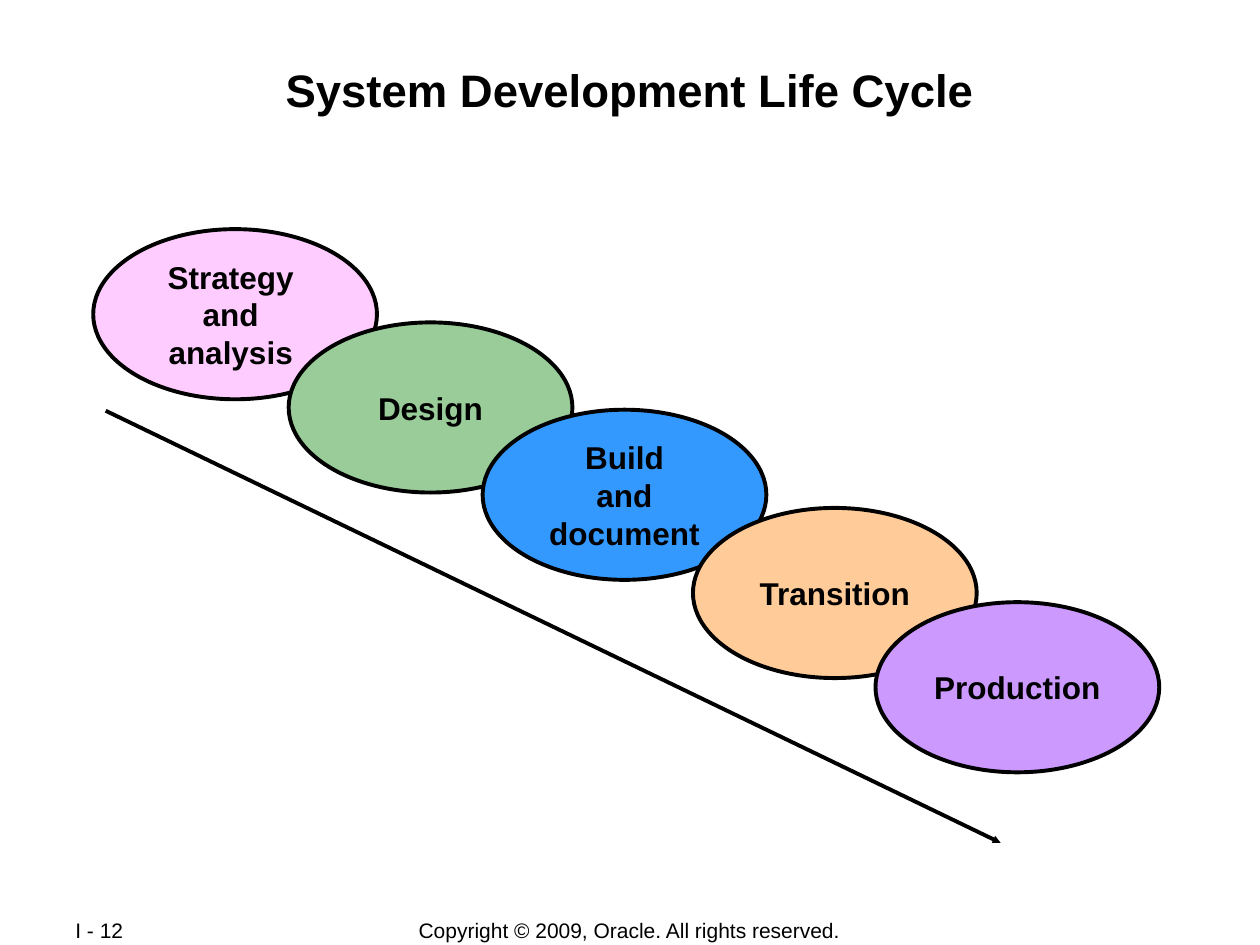
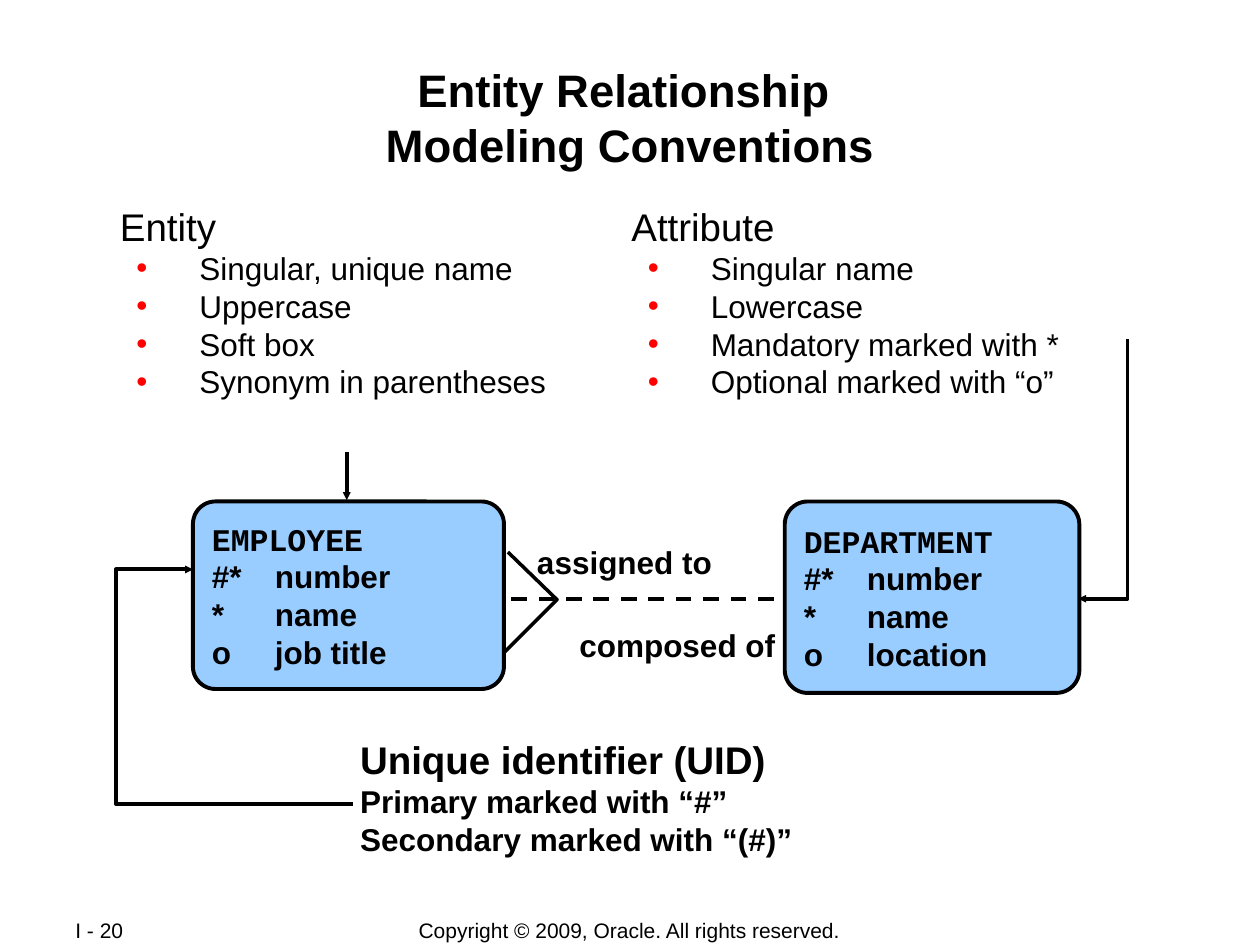
from lxml import etree
from pptx import Presentation, util as u
from pptx.dml.color import RGBColor
from pptx.enum import dml, shapes, text
from pptx.oxml.ns import qn

Cm, Pt = u.Cm, u.Pt
LEFT, CENTER = text.PP_ALIGN.LEFT, text.PP_ALIGN.CENTER
TOP, MIDDLE = text.MSO_ANCHOR.TOP, text.MSO_ANCHOR.MIDDLE
OVAL, SOFT_BOX = shapes.MSO_SHAPE.OVAL, shapes.MSO_SHAPE.ROUNDED_RECTANGLE
BLACK, ENTITY_BLUE, BULLET_RED = "000000", "99CCFF", "FF0000"
SANS, MONO = "Arial", "Courier New"
NORMAL_INSETS, THIN_INSETS = (0.25, 0.13), (0.03, 0.03)
COPYRIGHT = "Copyright © 2009, Oracle. All rights reserved."
OVAL_W, OVAL_H = 5.72, 3.43
STAGES = [
    ("Strategy \nand \nanalysis ", 1.88, 4.62, "FFCCFF"),
    ("Design", 5.82, 6.5, "99CC99"),
    ("Build\nand\ndocument", 9.73, 8.26, "3399FF"),
    ("Transition", 13.97, 10.24, "FFCC99"),
    ("Production", 17.65, 12.14, "CC99FF"),
]


def color(value):
    """Turn a hex string into a colour."""
    return RGBColor.from_string(value)


def style_paragraph(p, size, bold=False, font=SANS):
    """Format every run of a paragraph."""
    for r in p.runs:
        r.font.name, r.font.size, r.font.bold = font, Pt(size), bold
        r.font.color.rgb = color(BLACK)


def write(sp, content, size=18, bold=True, align=LEFT, anchor=TOP,
          wrap=True, insets=NORMAL_INSETS):
    """Put text into a shape and return its paragraphs."""
    tf = sp.text_frame
    tf.text = content
    tf.word_wrap, tf.vertical_anchor = wrap, anchor
    tf.margin_left = tf.margin_right = Cm(insets[0])
    tf.margin_top = tf.margin_bottom = Cm(insets[1])
    for p in tf.paragraphs:
        p.alignment = align
        style_paragraph(p, size, bold)
    return tf.paragraphs


def add_text(s, box, content, **options):
    """Add a text box and return its paragraphs."""
    return write(s.shapes.add_textbox(*map(Cm, box)), content, **options)


def set_line(line, width=2.25, arrow=False):
    """Draw a black line, with an arrowhead at its end if wanted."""
    line.color.rgb = color(BLACK)
    line.width = Pt(width)
    if arrow:
        ln = line.fill._xPr
        etree.SubElement(ln, qn("a:tailEnd"), type="triangle", w="sm", len="sm")


def add_node(s, kind, box, fill, content, **options):
    """Add a filled, outlined shape with text and return the shape."""
    sp = s.shapes.add_shape(kind, *map(Cm, box))
    sp.shadow.inherit = False
    sp.fill.solid()
    sp.fill.fore_color.rgb = color(fill)
    set_line(sp.line)
    write(sp, content, anchor=MIDDLE, **options)
    return sp


def add_line(s, start, end, arrow=False, dashed=False):
    """Add a straight connector."""
    sp = s.shapes.add_connector(shapes.MSO_CONNECTOR.STRAIGHT,
                                *map(Cm, start + end))
    if dashed:
        sp.line.dash_style = dml.MSO_LINE.DASH
    set_line(sp.line, arrow=arrow)
    etree.SubElement(sp._element.spPr, qn("a:effectLst"))


def add_polyline(s, points, width=2.25, arrow=False):
    """Add an open line through several points."""
    start, *rest = [(Cm(x), Cm(y)) for x, y in points]
    builder = s.shapes.build_freeform(*start)
    builder.add_line_segments(rest, close=False)
    sp = builder.convert_to_shape()
    sp.shadow.inherit = False
    sp.fill.background()
    set_line(sp.line, width, arrow)


def add_bullet(p):
    """Give a paragraph a red bullet and a hanging indent."""
    pPr = p._p.get_or_add_pPr()
    pPr.set("marL", str(Cm(1.6)))
    pPr.set("indent", str(-Cm(1.27)))
    clr = etree.SubElement(pPr, qn("a:buClr"))
    etree.SubElement(clr, qn("a:srgbClr"), val=BULLET_RED)
    etree.SubElement(pPr, qn("a:buFont"), typeface=SANS)
    etree.SubElement(pPr, qn("a:buChar"), char="•")


def add_rules(s, left, width, heading, rules):
    """Add a heading with a bulleted list of naming rules."""
    head, *items = add_text(s, (left, 4.06, width, 4.04),
                            "\n".join([heading, *rules]),
                            bold=False, insets=THIN_INSETS)
    style_paragraph(head, 22)
    for p in items:
        add_bullet(p)


def add_entity(s, box, name, attributes):
    """Add a soft box with an entity name and its marked attributes."""
    rows = [f"{mark}\t{attribute}" for mark, attribute in zip("#*o", attributes)]
    rows[0] = rows[0].replace("#", "#*")
    rows[1] = rows[1]
    sp = add_node(s, SOFT_BOX, box, ENTITY_BLUE, "\n".join([name, *rows]))
    sp.adjustments[0] = 0.12
    style_paragraph(sp.text_frame.paragraphs[0], 18, True, MONO)


def add_slide(prs, title, number):
    """Add a slide with the shared title and footer."""
    s = prs.slides.add_slide(prs.slide_layouts[6])
    add_text(s, (6.99, 18.49, 11.4, 0.53), COPYRIGHT, size=12, bold=False,
             align=CENTER, anchor=MIDDLE)
    add_text(s, (1.27, 18.49, 2.69, 0.53), f"I - {number}", size=12,
             bold=False, anchor=MIDDLE)
    add_text(s, (1.7, 1.22, 22, 2.44), title, size=26, align=CENTER,
             insets=THIN_INSETS)
    return s


def build_life_cycle(prs):
    """Build the slide with the cascade of development stages."""
    s = add_slide(prs, "System Development Life Cycle", 12)
    for name, left, top, fill in STAGES:
        add_node(s, OVAL, (left, top, OVAL_W, OVAL_H), fill, name,
                 align=CENTER, wrap=False)
    add_line(s, (2.13, 8.28), (20.17, 16.99), arrow=True)


def build_conventions(prs):
    """Build the slide with the entity relationship diagram."""
    s = add_slide(prs, "Entity Relationship \vModeling Conventions", 20)
    add_line(s, (16.15, 12.07), (9.42, 12.07), dashed=True)
    add_polyline(s, [(10.24, 11.13), (11.23, 12.09), (9.96, 13.36)], width=2)
    add_polyline(s, [(22.73, 6.83), (22.73, 12.07), (21.74, 12.07)], arrow=True)
    add_line(s, (6.99, 9.12), (6.99, 10.08), arrow=True)
    add_polyline(s, [(7.11, 16.21), (2.34, 16.21), (2.34, 11.48), (3.89, 11.48)],
                 arrow=True)
    add_entity(s, (3.89, 10.11, 6.27, 3.78), "EMPLOYEE",
               ["number", "name", "job title"])
    add_entity(s, (15.82, 10.11, 5.94, 3.86), "DEPARTMENT",
               ["number", "name", "location"])
    add_text(s, (10.57, 10.82, 4.04, 1.02), "assigned to", align=CENTER)
    add_text(s, (10.29, 12.5, 6.73, 1.02), "composed of", align=CENTER)
    uid = add_text(s, (7.01, 14.71, 9.22, 2.72),
                   "Unique identifier (UID)\nPrimary marked with “#”\n"
                   "Secondary marked with “(#)”", wrap=False)
    style_paragraph(uid[0], 22, True)
    add_rules(s, 12.7, 10.64, "Attribute",
              ["Singular name", "Lowercase", "Mandatory marked with *",
               "Optional marked with “o”"])
    add_rules(s, 2.39, 9.22, "Entity",
              ["Singular, unique name", "Uppercase", "Soft box",
               "Synonym in parentheses"])


def main():
    """Build and save the presentation."""
    prs = Presentation()
    prs.slide_width, prs.slide_height = Cm(25.4), Cm(19.05)
    build_life_cycle(prs)
    build_conventions(prs)
    prs.save("out.pptx")


if __name__ == "__main__":
    main()
